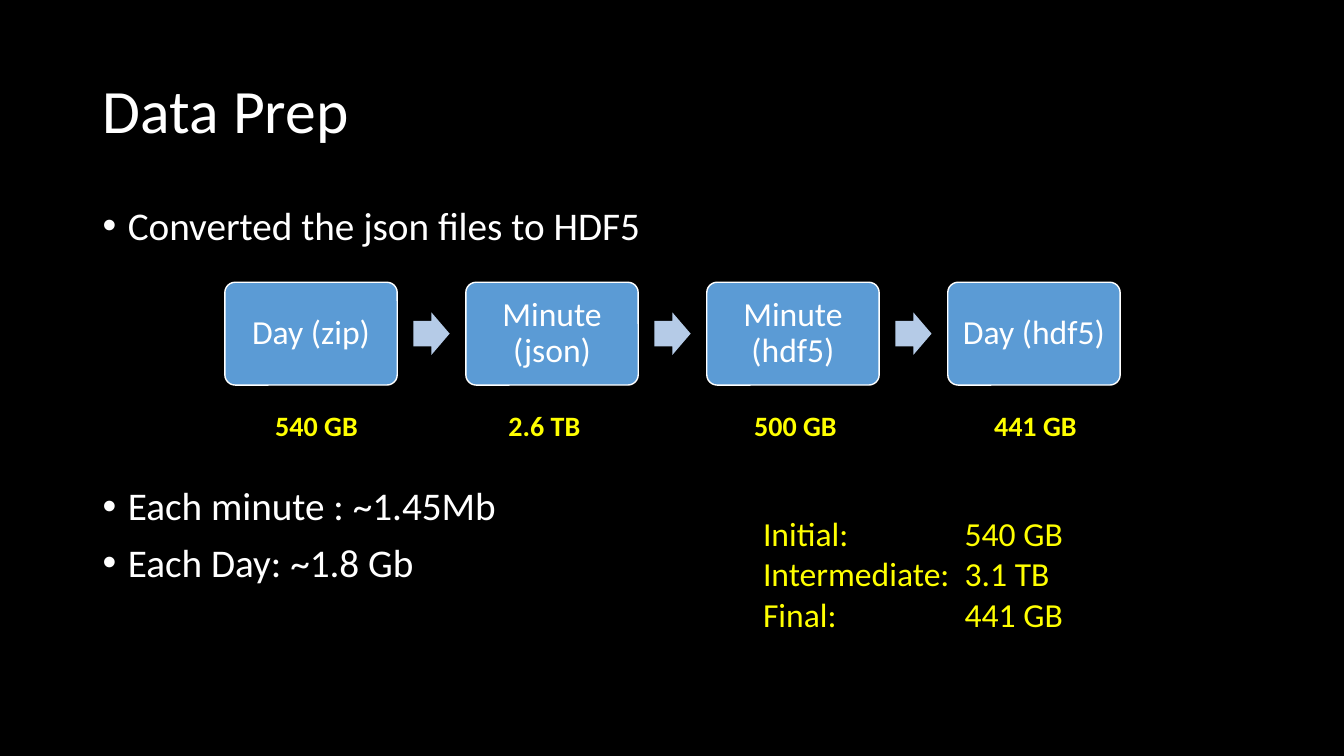
import pptx
import pptx.dml.color
import pptx.enum.shapes
import pptx.enum.text
import pptx.oxml.ns
import pptx.util
from lxml import etree

Inches, Pt = pptx.util.Inches, pptx.util.Pt
RGBColor = pptx.dml.color.RGBColor
MSO_SHAPE = pptx.enum.shapes.MSO_SHAPE
PP_ALIGN = pptx.enum.text.PP_ALIGN
MSO_ANCHOR = pptx.enum.text.MSO_ANCHOR
qn = pptx.oxml.ns.qn

BLACK = RGBColor(0x00, 0x00, 0x00)
WHITE = RGBColor(0xFF, 0xFF, 0xFF)
YELLOW = RGBColor(0xFF, 0xFF, 0x00)
BLUE = RGBColor(0x5B, 0x9B, 0xD5)
PALE_BLUE = RGBColor(0xB5, 0xCB, 0xE7)
FONT = "Calibri"

STEP_LEFT, STEP_TOP, STEP_PITCH = 2.23, 2.8, 2.39
STEP_W, STEP_H = 1.71, 1.02
ARROW_W, ARROW_H = 0.36, 0.42
LABEL_W = 1.4

# Step name, data size, centre of the size label
STEPS = [
    ("Day (zip)", "540 GB", 3.14),
    ("Minute (json)", "2.6 TB", 5.4),
    ("Minute (hdf5)", "500 GB", 7.89),
    ("Day (hdf5)", "441 GB", 10.27),
]
TOTALS = [("Initial:", "540 GB"), ("Intermediate:", "3.1 TB"), ("Final:", "441 GB")]


def add_run(p, text, size, color, bold=False):
    r = p.add_run()
    r.text = text
    r.font.name = FONT
    r.font.size = Pt(size)
    r.font.bold = bold
    r.font.color.rgb = color


def add_text(s, left, top, width, height):
    tf = s.shapes.add_textbox(Inches(left), Inches(top), Inches(width), Inches(height)).text_frame
    tf.word_wrap = True
    return tf


def next_paragraph(tf, i):
    return tf.add_paragraph() if i else tf.paragraphs[0]


def add_title(s, text):
    sp = s.shapes.title
    sp.left, sp.top, sp.width, sp.height = Inches(0.92), Inches(0.4), Inches(11.5), Inches(1.45)
    sp.text_frame.vertical_anchor = MSO_ANCHOR.MIDDLE
    p = sp.text_frame.paragraphs[0]
    p.alignment = PP_ALIGN.LEFT
    p.line_spacing = 0.9
    add_run(p, text, 44, WHITE)


def add_bullets(s, top, width, height, lines):
    tf = add_text(s, 0.92, top, width, height)
    for i, line in enumerate(lines):
        p = next_paragraph(tf, i)
        p.line_spacing = 0.9
        p.space_before = Pt(10)
        pPr = p._p.get_or_add_pPr()
        pPr.set("marL", str(Inches(0.25)))
        pPr.set("indent", str(Inches(-0.25)))
        etree.SubElement(pPr, qn("a:buFont")).set("typeface", "Arial")
        etree.SubElement(pPr, qn("a:buChar")).set("char", "•")
        add_run(p, line, 28, WHITE)


def add_filled_shape(s, kind, left, top, width, height, fill, adjustment):
    sp = s.shapes.add_shape(kind, Inches(left), Inches(top), Inches(width), Inches(height))
    sp.shadow.inherit = False
    sp.adjustments[0] = adjustment
    sp.fill.solid()
    sp.fill.fore_color.rgb = fill
    sp.line.fill.background()
    return sp


def add_step(s, left, name):
    sp = add_filled_shape(s, MSO_SHAPE.ROUNDED_RECTANGLE, left, STEP_TOP, STEP_W, STEP_H, BLUE, 0.1)
    sp.line.color.rgb = WHITE
    sp.line.width = Pt(1)
    tf = sp.text_frame
    tf.word_wrap = True
    tf.vertical_anchor = MSO_ANCHOR.MIDDLE
    tf.margin_left = tf.margin_right = tf.margin_top = tf.margin_bottom = Inches(0.1)
    p = tf.paragraphs[0]
    p.alignment = PP_ALIGN.CENTER
    p.line_spacing = 0.9
    add_run(p, name, 24, WHITE)


def add_size_label(s, center, size):
    p = add_text(s, center - LABEL_W / 2, 4, LABEL_W, 0.44).paragraphs[0]
    p.alignment = PP_ALIGN.CENTER
    add_run(p, size, 20, YELLOW, bold=True)


def add_pipeline(s):
    for i, (name, size, center) in enumerate(STEPS):
        left = STEP_LEFT + i * STEP_PITCH
        if i:
            add_filled_shape(s, MSO_SHAPE.RIGHT_ARROW, left - 0.52,
                             STEP_TOP + (STEP_H - ARROW_H) / 2, ARROW_W, ARROW_H, PALE_BLUE, 0.6)
        add_step(s, left, name)
        add_size_label(s, center, size)


def add_totals(s):
    """Stage names with their sizes aligned at a tab stop."""
    tf = add_text(s, 7.47, 5.04, 3.64, 1.31)
    for i, (stage, size) in enumerate(TOTALS):
        p = next_paragraph(tf, i)
        tabs = etree.SubElement(p._p.get_or_add_pPr(), qn("a:tabLst"))
        etree.SubElement(tabs, qn("a:tab"), pos=str(Inches(2)), algn="l")
        add_run(p, f"{stage}\t{size}", 24, YELLOW)


def main():
    prs = pptx.Presentation()
    prs.slide_width, prs.slide_height = Inches(13.33), Inches(7.5)
    s = prs.slides.add_slide(prs.slide_layouts[5])
    s.background.fill.solid()
    s.background.fill.fore_color.rgb = BLACK
    add_title(s, "Data Prep")
    add_bullets(s, 2, 11.5, 0.7, ["Converted the json files to HDF5"])
    add_pipeline(s)
    add_bullets(s, 4.78, 6.3, 1.25, ["Each minute : ~1.45Mb", "Each Day: ~1.8 Gb"])
    add_totals(s)
    prs.save("out.pptx")


if __name__ == "__main__":
    main()
